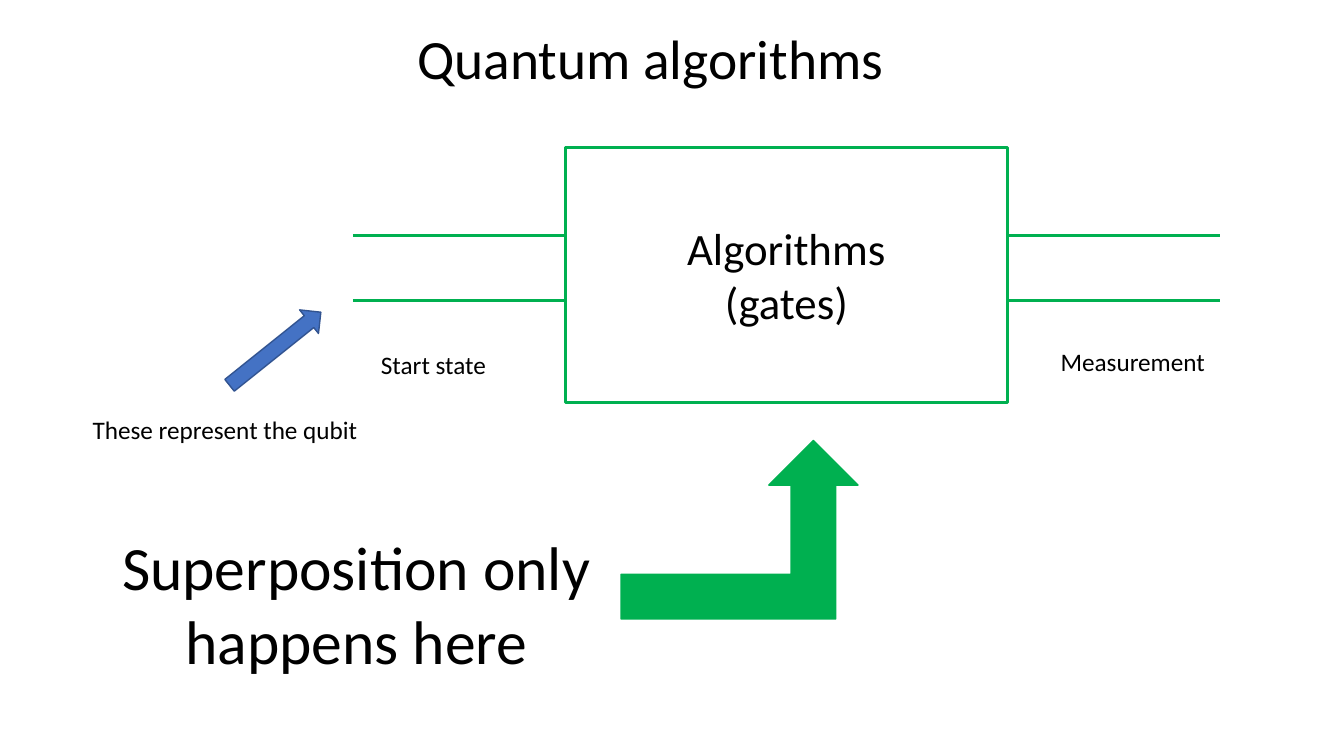
from dataclasses import dataclass

from lxml import etree
from pptx import Presentation
from pptx import util as u
from pptx.dml.color import RGBColor
from pptx.enum import shapes, text
from pptx.oxml import ns


@dataclass(frozen=True)
class Theme:
    font: str = "Calibri"
    ink: RGBColor = RGBColor.from_string("000000")
    green: RGBColor = RGBColor.from_string("00B050")
    blue: RGBColor = RGBColor.from_string("4472C4")
    blue_edge: RGBColor = RGBColor.from_string("325491")
    title_size: float = 39.6
    callout_size: float = 44
    gate_size: float = 32
    label_size: float = 18
    circuit_line: float = 2.25
    arrow_line: float = 1


THEME = Theme()


def write(frame, lines, size, align=text.PP_ALIGN.LEFT):
    for index, line in enumerate(lines):
        paragraph = frame.paragraphs[0] if index == 0 else frame.add_paragraph()
        paragraph.alignment = align
        run = paragraph.add_run()
        run.text = line
        run.font.name = THEME.font
        run.font.size = u.Pt(size)
        run.font.color.rgb = THEME.ink


def add_label(slide, box, line, size, align=text.PP_ALIGN.LEFT, wrap=False):
    frame = slide.shapes.add_textbox(*map(u.Inches, box)).text_frame
    frame.word_wrap = wrap
    frame.auto_size = text.MSO_AUTO_SIZE.SHAPE_TO_FIT_TEXT
    write(frame, [line], size, align)


def add_outlined(slide, kind, box, fill, edge, width):
    shape = slide.shapes.add_shape(kind, *map(u.Inches, box))
    shape.shadow.inherit = False
    if fill is None:
        shape.fill.background()
    else:
        shape.fill.solid()
        shape.fill.fore_color.rgb = fill
    shape.line.color.rgb = edge
    shape.line.width = u.Pt(width)
    return shape


def add_wire(slide, left, right, y):
    wire = slide.shapes.add_connector(
        shapes.MSO_CONNECTOR.STRAIGHT,
        u.Inches(left), u.Inches(y), u.Inches(right), u.Inches(y))
    wire.line.color.rgb = THEME.green
    wire.line.width = u.Pt(THEME.circuit_line)
    etree.SubElement(wire._element.spPr, ns.qn("a:effectLst"))


def add_title(slide, box):
    title = slide.shapes.title
    title.left, title.top, title.width, title.height = map(u.Inches, box)
    frame = title.text_frame
    frame.word_wrap = True
    frame.auto_size = text.MSO_AUTO_SIZE.NONE
    frame.vertical_anchor = text.MSO_ANCHOR.MIDDLE
    write(frame, ["Quantum algorithms"], THEME.title_size)
    frame.paragraphs[0].line_spacing = 0.9


def add_circuit(slide, left, top, width, height):
    # Gate box, centred between its input and output wires
    wire_length = 2.11
    gate_left = left + wire_length
    gate_right = left + width - wire_length
    gate = add_outlined(slide, shapes.MSO_SHAPE.RECTANGLE,
                        (gate_left, top, gate_right - gate_left, height),
                        None, THEME.green, THEME.circuit_line)
    gate.text_frame.vertical_anchor = text.MSO_ANCHOR.MIDDLE
    write(gate.text_frame, ["Algorithms", "(gates)"], THEME.gate_size,
          text.PP_ALIGN.CENTER)

    # One wire per qubit on each side
    for y in (top + 0.88, top + 1.52):
        add_wire(slide, left, gate_left, y)
        add_wire(slide, gate_right, left + width, y)

    # Labels under the wires
    add_label(slide, (left + 0.18, top + 1.96, 1.25, 0.4), "Start state",
              THEME.label_size)
    add_label(slide, (gate_right + 0.43, top + 1.93, 1.71, 0.4), "Measurement",
              THEME.label_size)


def add_qubit_note(slide, left, top, width):
    arrow = add_outlined(slide, shapes.MSO_SHAPE.RIGHT_ARROW,
                         (left + 1.33, top, 1.16, 0.3),
                         THEME.blue, THEME.blue_edge, THEME.arrow_line)
    arrow.rotation = 321.3
    add_label(slide, (left, top + 0.75, width, 0.4), "These represent the qubit",
              THEME.label_size)


def add_superposition_callout(slide, left, top):
    add_label(slide, (left, top + 0.83, 6.27, 1.58),
              "Superposition only happens here", THEME.callout_size,
              text.PP_ALIGN.CENTER, wrap=True)
    add_outlined(slide, shapes.MSO_SHAPE.BENT_UP_ARROW,
                 (left + 5.76, top, 2.35, 1.77),
                 THEME.green, THEME.green, THEME.arrow_line)


def main():
    presentation = Presentation()
    presentation.slide_width = u.Inches(13.33)
    presentation.slide_height = u.Inches(7.5)
    slide = presentation.slides.add_slide(presentation.slide_layouts[5])

    add_title(slide, (4.04, 0.25, 4.88, 0.72))
    add_circuit(slide, 3.5, 1.46, 8.6, 2.53)
    add_superposition_callout(slide, 0.4, 4.37)
    add_qubit_note(slide, 0.82, 3.31, 2.86)

    presentation.save("out.pptx")


if __name__ == "__main__":
    main()
